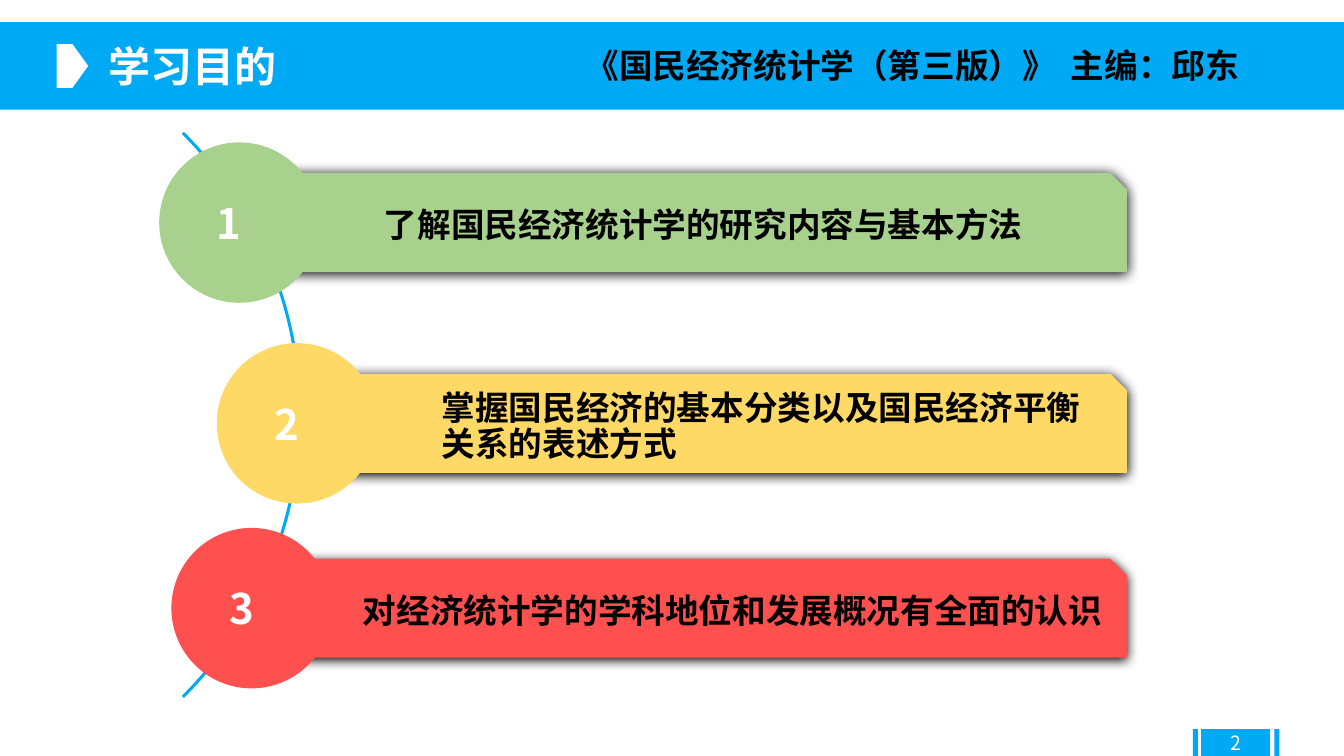
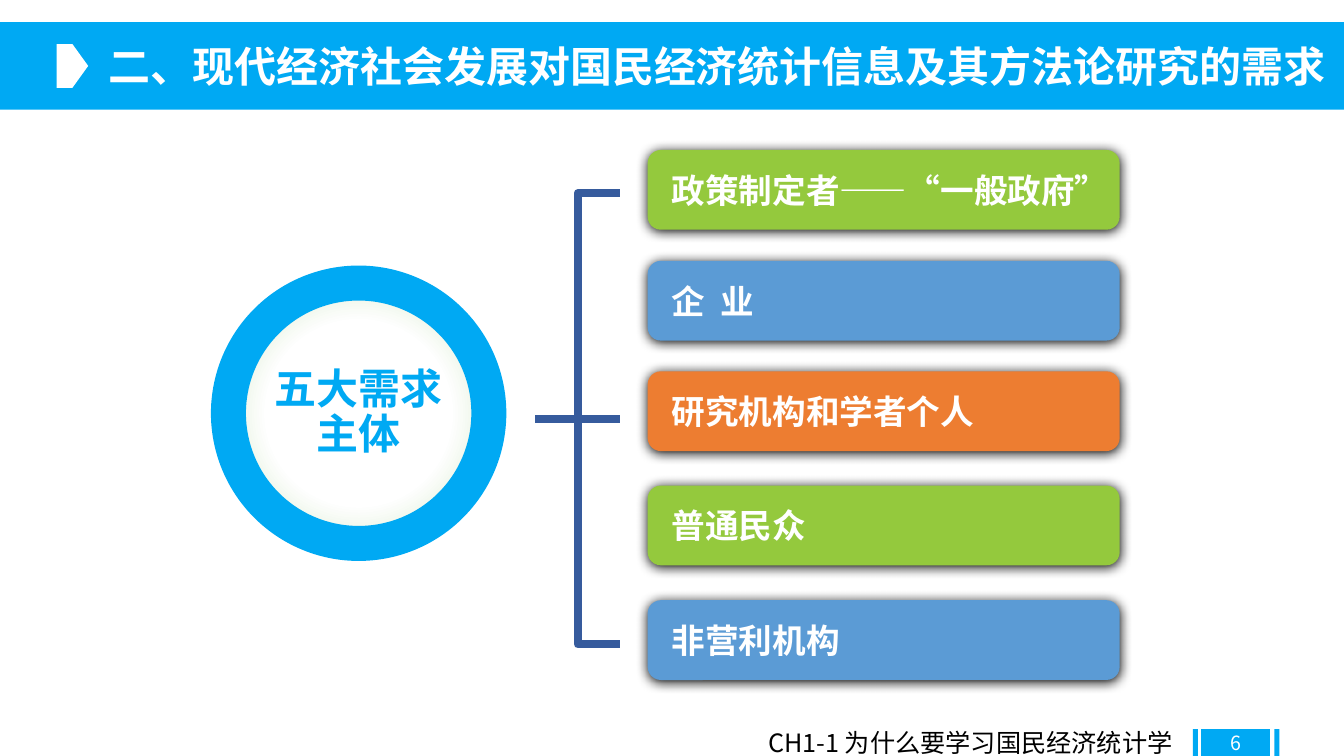
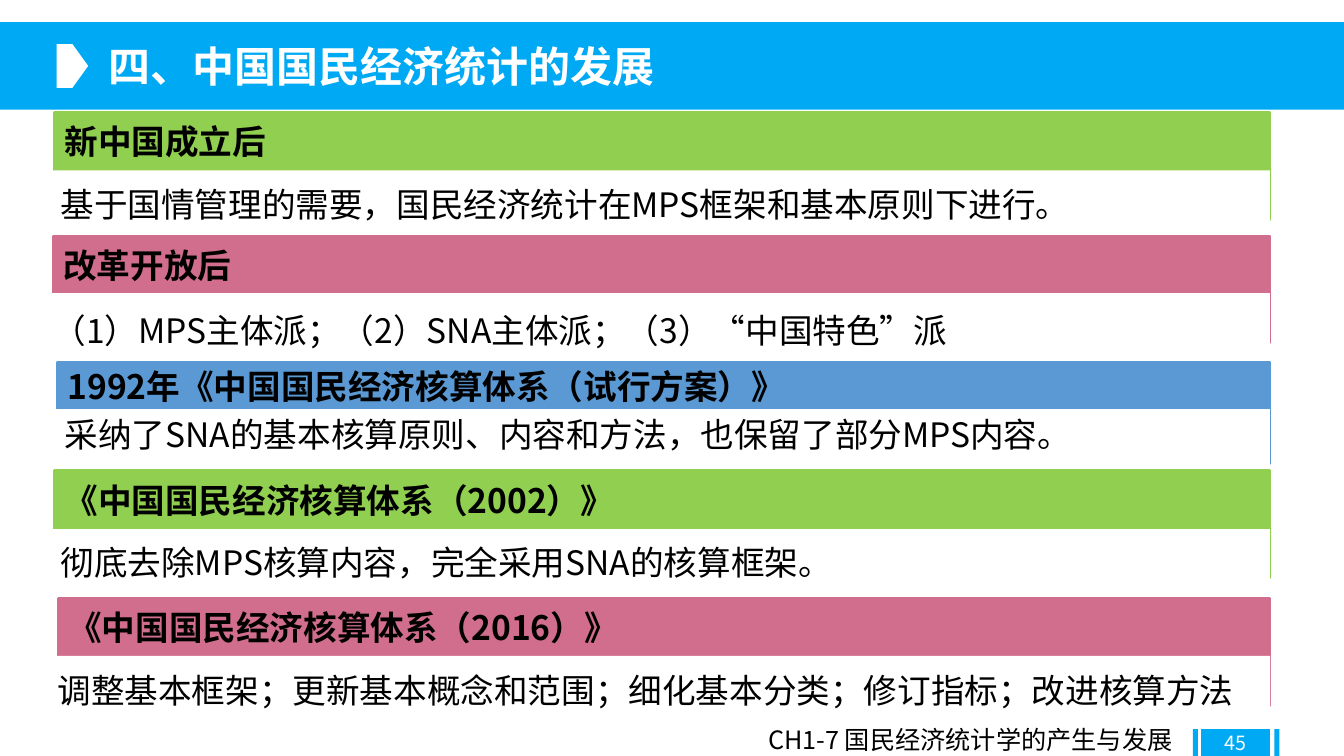
from lxml import etree
from pptx import Presentation
from pptx.dml.color import RGBColor
from pptx.enum.shapes import MSO_CONNECTOR, MSO_SHAPE as Shape
from pptx.enum.text import MSO_ANCHOR as Anchor, MSO_AUTO_SIZE as AutoSize, PP_ALIGN as Align
from pptx.oxml import parse_xml
from pptx.oxml.ns import nsdecls, qn
from pptx.util import Inches, Pt

COLORS = {
    "brand": "00A9F3", "white": "FFFFFF", "black": "000000",
    "sage": "A9D18E", "gold": "FFD966", "coral": "FF5050",
    "lime": "94C93D", "sky": "5B9BD5", "orange": "ED7D31",
    "grass": "91CF50", "rose": "D16E8D", "steel": "5A99D3",
    "navy": "365B9D", "mint": "C5E0B4",
}
COLUMNS, ROWS = 160, 90
CELL = Inches(7.5) / ROWS
FONT = "Noto Sans CJK SC"


def cells(count):
    """Turn a count of grid cells into a length."""
    return round(count * CELL)


def color(name):
    """Look up a named colour."""
    return RGBColor.from_string(COLORS[name])


def shadow_xml(blur, distance, angle, alpha):
    """Make an effect list with one outer shadow."""
    return parse_xml(
        f'<a:effectLst {nsdecls("a")}><a:outerShdw blurRad="{Pt(blur)}" dist="{Pt(distance)}" '
        f'dir="{angle * 60000}" algn="t" rotWithShape="0"><a:srgbClr val="{COLORS["black"]}">'
        f'<a:alpha val="{alpha * 1000}"/></a:srgbClr></a:outerShdw></a:effectLst>')


class Lecture:
    """Holds the style of the lecture and the slide being built."""

    def __init__(self):
        """Open an empty deck of the right size."""
        self.deck = Presentation()
        self.deck.slide_width = cells(COLUMNS)
        self.deck.slide_height = cells(ROWS)
        self.slide = None

    def start(self, title, number, footer=None, footer_top=86):
        """Add a slide with its title band, marker, page number and footer."""
        self.slide = self.deck.slides.add_slide(self.deck.slide_layouts[5])
        band = self.slide.shapes.title
        band.left, band.top, band.width, band.height = map(cells, (0, 2.62, COLUMNS, 10.42))
        band.fill.solid()
        band.fill.fore_color.rgb = color("brand")
        self.label(band, title, 30, "white", bold=True, margins=(12.88, 0, 0, 0))
        self.shape(Shape.PENTAGON, 6.75, 5.25, 3.75, 5.2, "white")
        pager = self.shape(Shape.RECTANGLE, 143, 86.8, 8.2, 3.2, "brand")
        self.label(pager, number, 14, "white", align=Align.CENTER)
        for left in (142, 151.7):
            self.shape(Shape.RECTANGLE, left, 86.8, 0.6, 3.2, "brand")
        if footer:
            self.text(footer, 91.45, footer_top, 50.5, 4.8, 18)

    def shape(self, kind, left, top, width, height, fill=None, line=None, line_width=1):
        """Add a preset shape with a plain fill and line."""
        shape = self.slide.shapes.add_shape(kind, *map(cells, (left, top, width, height)))
        shape.shadow.inherit = False
        self.paint(shape, fill, line, line_width)
        return shape

    def paint(self, shape, fill, line, line_width):
        """Set the fill and the line of a shape."""
        if fill:
            shape.fill.solid()
            shape.fill.fore_color.rgb = color(fill)
        else:
            shape.fill.background()
        if line:
            shape.line.color.rgb = color(line)
            shape.line.width = Pt(line_width)
        else:
            shape.line.fill.background()

    def raised(self, *place):
        """Add a preset shape with a soft shadow below it."""
        shape = self.shape(*place)
        properties = shape.element.spPr
        properties.replace(properties.find(qn("a:effectLst")), shadow_xml(8.5, 1, 90, 100))
        return shape

    def label(self, shape, words, size, ink, bold=False, align=Align.LEFT,
              margins=(0, 0, 0, 0), spacing=None, tab=None, shadow=False):
        """Put one formatted paragraph into a shape; margins run left, top, right, bottom."""
        frame = shape.text_frame
        frame.word_wrap = True
        frame.auto_size = AutoSize.NONE
        frame.vertical_anchor = Anchor.MIDDLE
        (frame.margin_left, frame.margin_top,
         frame.margin_right, frame.margin_bottom) = map(cells, margins)
        para = frame.paragraphs[0]
        para.text = words
        para.alignment = align
        if spacing:
            para.line_spacing = spacing
        properties = para._p.get_or_add_pPr()
        if tab:
            stops = etree.SubElement(properties, qn("a:tabLst"))
            etree.SubElement(stops, qn("a:tab"), pos=str(cells(tab)), algn="l")
        font = para.font
        font.name, font.size, font.bold = FONT, Pt(size), bold
        font.color.rgb = color(ink)
        style = properties.find(qn("a:defRPr"))
        etree.SubElement(style, qn("a:ea"), typeface=FONT)
        if shadow:
            style.find(qn("a:solidFill")).addnext(shadow_xml(3, 3, 45, 43))

    def text(self, words, left, top, width, height, size, **style):
        """Add a text box in black."""
        box = self.slide.shapes.add_textbox(*map(cells, (left, top, width, height)))
        self.label(box, words, size, "black", **style)

    def goal(self, number, words, fill, center, middle, left, right=134.15):
        """Add a numbered disc with its bar."""
        bar = self.raised(Shape.SNIP_1_RECTANGLE, left, middle - 5.9, right - left, 11.8, fill)
        self.label(bar, words, 24, "black", bold=True, spacing=0.9, margins=(15, 1.7, 1.7, 1.7))
        disc = self.shape(Shape.OVAL, center - 9.55, middle - 9.55, 19.1, 19.1, fill)
        self.label(disc, number, 30, "white", bold=True, align=Align.CENTER,
                   margins=(0, 0, 2.4, 0), shadow=True)

    def ring(self, words, left, top, size):
        """Add a thick ring with a soft radial fill."""
        ring = self.shape(Shape.OVAL, left, top, size, size, "white", "brand", 25)
        stops = "".join(
            f'<a:gs pos="{share * 1000}"><a:srgbClr val="{COLORS[name]}"/></a:gs>'
            for share, name in ((0, "white"), (50, "white"), (100, "mint")))
        properties = ring.element.spPr
        properties.replace(properties.find(qn("a:solidFill")), parse_xml(
            f'<a:gradFill {nsdecls("a")} rotWithShape="1"><a:gsLst>{stops}</a:gsLst>'
            '<a:path path="circle"><a:fillToRect l="50000" t="50000" r="50000" b="50000"/>'
            '</a:path></a:gradFill>'))
        self.label(ring, words, 30, "brand", bold=True, align=Align.CENTER,
                   margins=(0.6, 0.6, 0.6, 0.6), spacing=0.9)

    def bracket(self, left, stem, right, top, middle, bottom):
        """Add a bracket with a bar through its middle."""
        corners = [(right, top), (stem, top), (stem, bottom), (right, bottom)]
        points = [(cells(across), cells(down)) for across, down in corners]
        builder = self.slide.shapes.build_freeform(*points[0], scale=1.0)
        builder.add_line_segments(points[1:], close=False)
        outline = builder.convert_to_shape()
        outline.shadow.inherit = False
        self.paint(outline, None, "navy", 6)
        bar = self.slide.shapes.add_connector(
            MSO_CONNECTOR.STRAIGHT, *map(cells, (left, middle, right, middle)))
        bar.line.color.rgb = color("navy")
        bar.line.width = Pt(6)
        etree.SubElement(bar.element.spPr, qn("a:effectLst"))

    def party(self, words, fill, top):
        """Add a rounded box naming one party."""
        box = self.raised(Shape.ROUNDED_RECTANGLE, 77.1, top, 56.2, 9.5, fill)
        self.label(box, words, 24, "white", bold=True, margins=(2.4, 0.6, 0.6, 0.6), tab=5.8)

    def period(self, heading, words, fill, left, top, split, bottom, text_left, text_middle):
        """Add a coloured heading with a line of text below it."""
        right = 151.2
        card = self.shape(Shape.RECTANGLE, left, top, right - left, bottom - top, fill, fill, 2)
        self.label(card, heading, 24, "black", bold=True, margins=(1.2, 0, 0, bottom - split))
        self.shape(Shape.RECTANGLE, left - 1, split, right - left + 1, bottom - split + 0.4, "white")
        self.text(words, text_left, text_middle - 3, 144, 6, 24)


def main():
    """Build the three slides."""
    lecture = Lecture()

    lecture.start("学习目的", "2")
    arc = lecture.shape(Shape.BLOCK_ARC, -59.2, 1.9, 95, 95, None, "brand")
    for index, value in enumerate((189, 27, 0.002)):
        arc.adjustments[index] = value
    for goal in (
        ("1", "了解国民经济统计学的研究内容与基本方法", "sage", 28.5, 26.5, 30.7),
        ("2", "掌握国民经济的基本分类以及国民经济平衡关系的表述方式", "gold", 35.35, 50.4, 37.6),
        ("3", "对经济统计学的学科地位和发展概况有全面的认识", "coral", 29.95, 72.4, 28.2),
    ):
        lecture.goal(*goal)
    lecture.text("《国民经济统计学（第三版）》\t主编：邱东", 69.7, 4.8, 84, 6, 24, bold=True, tab=57.8)

    lecture.start("二、现代经济社会发展对国民经济统计信息及其方法论研究的需求", "6",
                  "CH1-1 为什么要学习国民经济统计学")
    lecture.bracket(63.7, 68.8, 73.8, 23, 49.9, 76.7)
    lecture.ring("五大需求主体", 27.2, 33.7, 31)
    for party in (
        ("政策制定者——“一般政府”", "lime", 17.85),
        ("企\t业", "sky", 31.05),
        ("研究机构和学者个人", "orange", 44.2),
        ("普通民众", "lime", 57.8),
        ("非营利机构", "sky", 71.45),
    ):
        lecture.party(*party)

    lecture.start("四、中国国民经济统计的发展", "45", "CH1-7 国民经济统计学的产生与发展", 85.6)
    for period in (
        ("新中国成立后", "基于国情管理的需要，国民经济统计在MPS框架和基本原则下进行。",
         "grass", 6.5, 13.4, 20.3, 26.1, 7.2, 24.25),
        ("改革开放后", "（1）MPS主体派；（2）SNA主体派；（3）“中国特色”派",
         "rose", 6.35, 28.1, 34.9, 40.8, 6.25, 39.25),
        ("1992年《中国国民经济核算体系（试行方案）》",
         "采纳了SNA的基本核算原则、内容和方法，也保留了部分MPS内容。",
         "steel", 6.85, 43.1, 48.7, 55.2, 7.7, 51.7),
        ("《中国国民经济核算体系（2002）》", "彻底去除MPS核算内容，完全采用SNA的核算框架。",
         "grass", 6.5, 56.05, 63, 68.8, 7.2, 66.9),
        ("《中国国民经济核算体系（2016）》",
         "调整基本框架；更新基本概念和范围；细化基本分类；修订指标；改进核算方法",
         "rose", 6.95, 71.3, 78.1, 84, 6.85, 82.2),
    ):
        lecture.period(*period)

    lecture.deck.save("out.pptx")


if __name__ == "__main__":
    main()
